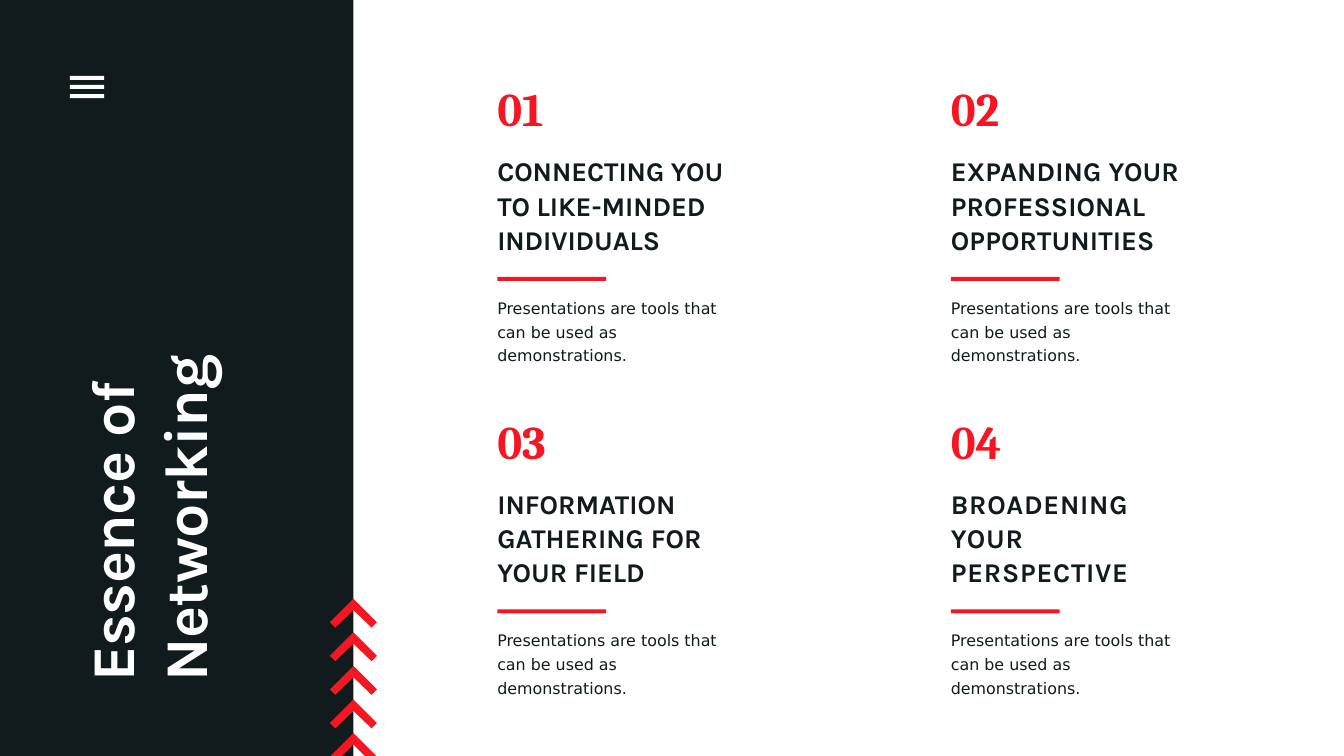
from dataclasses import dataclass

from pptx import Presentation, util as u
from pptx.dml.color import RGBColor
from pptx.enum import shapes, text


@dataclass(frozen=True)
class Theme:
    dark: str = "111B1D"
    red: str = "F41723"
    white: str = "FFFFFF"
    head: str = "Karla"
    number: str = "Cambria"
    body: str = "DejaVu Sans"
    title_size: int = 65
    number_size: int = 50
    head_size: int = 29
    body_size: int = 17


class Deck:
    """Draw styled elements on a slide measured in 20 columns by 11.25 rows."""

    COLS, ROWS = 20, 11.25

    def __init__(self, prs, theme):
        self.prs, self.theme = prs, theme
        prs.slide_width, prs.slide_height = u.Inches(20), u.Inches(11.25)
        self.s = prs.slides.add_slide(prs.slide_layouts[5])
        self.s.background.fill.solid()
        self.s.background.fill.fore_color.rgb = RGBColor.from_string(theme.white)

    def x(self, cols):
        return round(self.prs.slide_width * cols / self.COLS)

    def y(self, rows):
        return round(self.prs.slide_height * rows / self.ROWS)

    def box(self, left, top, width, height):
        return self.x(left), self.y(top), self.x(width), self.y(height)

    def paint(self, sp, color):
        sp.shadow.inherit = False
        sp.fill.solid()
        sp.fill.fore_color.rgb = RGBColor.from_string(color)
        sp.line.fill.background()

    def bar(self, left, top, width, height, color):
        sp = self.s.shapes.add_shape(
            shapes.MSO_SHAPE.RECTANGLE, *self.box(left, top, width, height))
        self.paint(sp, color)

    def outline(self, contours, color):
        contours = [[(self.x(a), self.y(b)) for a, b in c] for c in contours]
        fb = self.s.shapes.build_freeform(*contours[0][0])
        for i, (start, *rest) in enumerate(contours):
            if i:
                fb.move_to(*start)
            fb.add_line_segments(rest, close=True)
        self.paint(fb.convert_to_shape(), color)

    def frame(self, sp, inset=0.01):
        tf = sp.text_frame
        tf.word_wrap = True
        tf.auto_size = text.MSO_AUTO_SIZE.NONE
        tf.vertical_anchor = text.MSO_ANCHOR.TOP
        tf.margin_left = tf.margin_right = tf.margin_bottom = 0
        tf.margin_top = self.y(inset)
        return tf

    def style(self, p, font, size, color, bold=False, tracking=0.0, leading=1.0):
        p.alignment = text.PP_ALIGN.LEFT
        p.line_spacing = leading
        for r in p.runs:
            r.font.name, r.font.size, r.font.bold = font, u.Pt(size), bold
            r.font.color.rgb = RGBColor.from_string(color)
            r.font._element.set("spc", str(round(tracking * 100)))

    def upright_title(self, words, left, top, width, height):
        t, sp = self.theme, self.s.shapes.title
        sp.left, sp.top, sp.width, sp.height = self.box(
            left + (width - height) / 2, top + (height - width) / 2, height, width)
        sp.rotation = 270
        tf = self.frame(sp, 0.02)
        tf.text = words
        self.style(tf.paragraphs[0], t.head, t.title_size, t.white, True, -0.7)

    def card(self, left, top, number, heading, width, tracking, body):
        t = self.theme
        sp = self.s.shapes.add_textbox(*self.box(left, top, width, 3.15))
        tf = self.frame(sp, 0.5)
        tf.text = f"{number:02d}\n{heading}"
        p, q = tf.paragraphs
        self.style(p, t.number, t.number_size, t.red, True, -0.1)
        self.style(q, t.head, t.head_size, t.dark, True, tracking, 1.05)
        q.space_before = u.Pt(18.5)
        self.bar(left, top + 3.43, 1.62, 0.06, t.red)
        sp = self.s.shapes.add_textbox(*self.box(left, top + 3.67, 3.57, 0.74))
        tf = self.frame(sp)
        tf.text = body
        self.style(tf.paragraphs[0], t.body, t.body_size, t.dark, leading=1.25)

    def chevrons(self, center, top, pitch, count):
        arrow = [(0.35, 0.35), (0, 0), (-0.35, 0.35), (-0.27, 0.43), (0, 0.17), (0.27, 0.43)]
        cut = [(0.34, 0.34), (0, 0), (-0.34, 0.34), (-0.17, 0.34), (0, 0.17), (0.17, 0.34)]
        kinds = [arrow] * (count - 1) + [cut]
        self.outline([[(center + a, top + i * pitch + b) for a, b in kind]
                      for i, kind in enumerate(kinds)], self.theme.red)

    def menu(self, left, top, pitch):
        stripe = [(0, 0), (0.51, 0), (0.51, 0.06), (0, 0.06)]
        self.outline([[(left + a, top + i * pitch + b) for a, b in stripe]
                      for i in range(3)], self.theme.white)


BODY = "Presentations are tools that can be used as demonstrations."
CARDS = [
    ("CONNECTING YOU TO LIKE-MINDED INDIVIDUALS", 3.84, -0.1),
    ("EXPANDING YOUR PROFESSIONAL OPPORTUNITIES", 3.85, 0.1),
    ("INFORMATION GATHERING FOR YOUR FIELD", 3.51, 0),
    ("BROADENING YOUR PERSPECTIVE", 2.88, 0.8),
]


def main():
    prs = Presentation()
    theme = Theme()
    deck = Deck(prs, theme)
    deck.bar(0, 0, 5.26, deck.ROWS, theme.dark)
    title = deck.s.shapes.title._element
    title.getparent().append(title)
    deck.upright_title("Essence of Networking", 1.08, 5.15, 2.24, 4.99)
    for i, (heading, width, tracking) in enumerate(CARDS):
        row, col = divmod(i, 2)
        deck.card(7.4 + 6.75 * col, 0.69 + 4.95 * row, i + 1,
                  heading, width, tracking, BODY)
    deck.chevrons(5.26, 8.91, 0.5, 5)
    deck.menu(1.04, 1.13, 0.135)
    prs.save("out.pptx")


if __name__ == "__main__":
    main()
